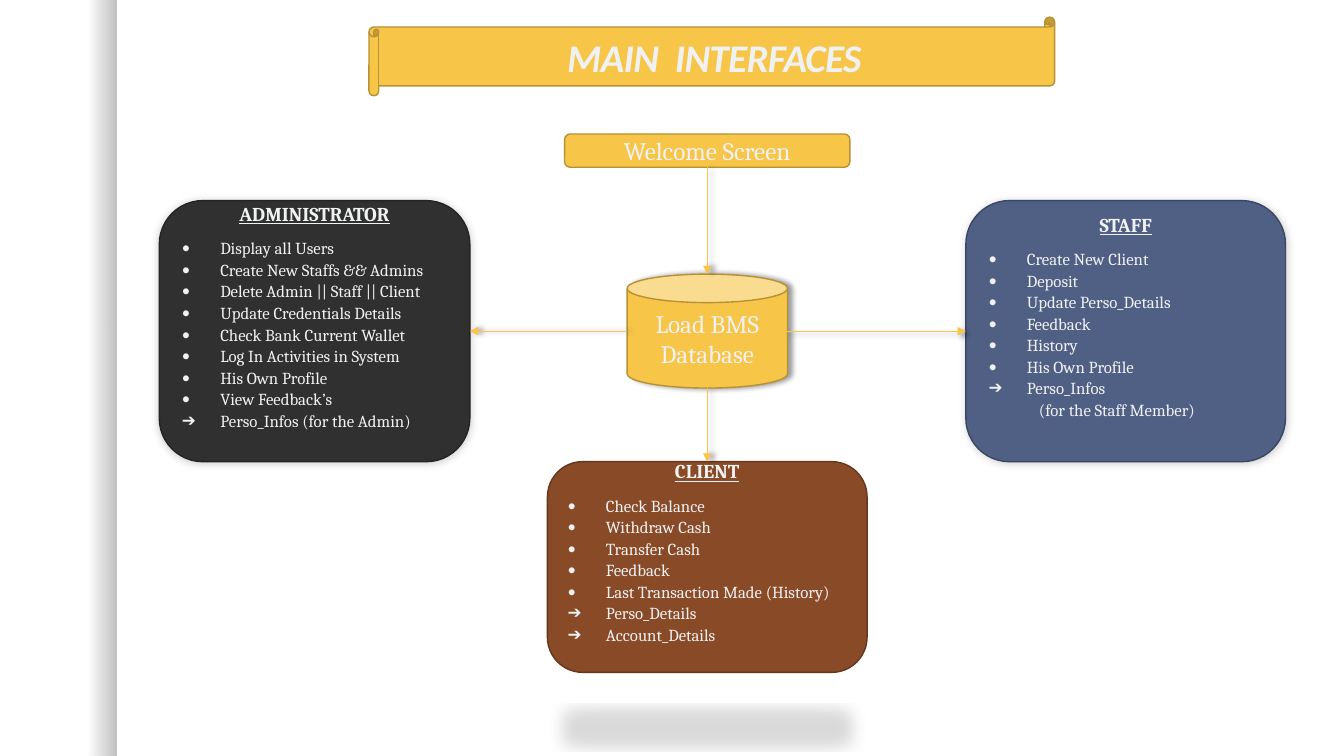
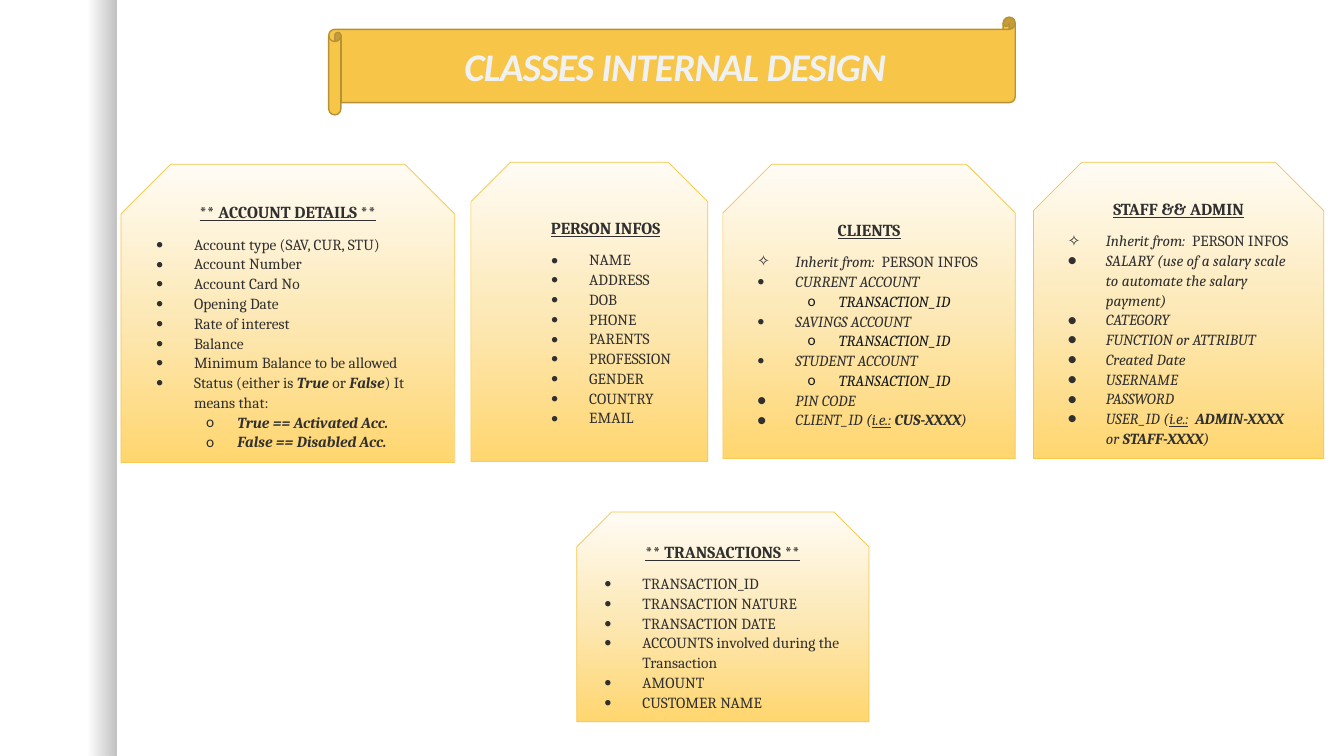
from lxml.etree import SubElement
from pptx import Presentation
from pptx.dml.color import RGBColor
from pptx.enum.shapes import MSO_CONNECTOR, MSO_SHAPE
from pptx.enum.text import MSO_ANCHOR, PP_ALIGN
from pptx.oxml.ns import qn
from pptx.util import Inches, Pt

WHITE = RGBColor(0xFF, 0xFF, 0xFF)
BLACK = RGBColor(0x00, 0x00, 0x00)
LIGHT = RGBColor(0xF0, 0xF1, 0xF2)
DARK = RGBColor(0x30, 0x30, 0x30)
DARK_EDGE = RGBColor(0x24, 0x24, 0x24)
INK = RGBColor(0x14, 0x18, 0x1B)
GOLD = RGBColor(0xF7, 0xC5, 0x47)
GOLD_EDGE = RGBColor(0xB7, 0x92, 0x35)
BROWN = RGBColor(0x89, 0x4A, 0x27)
BROWN_EDGE = RGBColor(0x65, 0x37, 0x1D)
BLUE = RGBColor(0x50, 0x60, 0x84)
BLUE_EDGE = RGBColor(0x3B, 0x47, 0x62)
CREAM = RGBColor(0xFF, 0xFC, 0xF5)
SAND = RGBColor(0xFD, 0xE9, 0xB7)
AMBER = RGBColor(0xFF, 0xD6, 0x6F)

HEADING_FONT, BODY_FONT = "Calibri", "Cambria"

# Gradient stops: (position %, colour, opacity %)
BAND_STOPS = [(75, BLACK, 0), (100, BLACK, 25)]
CARD_STOPS = [(0, CREAM, 100), (50, SAND, 100), (100, AMBER, 100)]

# Shadows: opacity %, blur pt, distance pt, direction in degrees
SOFT_LEFT = dict(opacity=20, blur=6, distance=1, angle=135)
SOFT_RIGHT = dict(opacity=20, blur=6, distance=1, angle=45)
SIDE = dict(opacity=40, blur=4, distance=3, angle=0)
SIDE_DIAGONAL = dict(SIDE, angle=45)
FLOOR = dict(opacity=15, blur=12, distance=25, angle=90, scale=(90, -19))

# An item is (bullet, run, run, ...); a run is a text or (text, style),
# where the style letters are b(old), i(talic) and u(nderlined).
INHERIT = ("✧", ("Inherit from: ", "i"), " PERSON INFOS")


def items(bullet, *texts, style=""):
    return [(bullet, (text, style)) for text in texts]


ROLES = [
    dict(heading="CLIENT", at=(5.43, 4.58, 3.17, 2.09), fill=BROWN,
         edge=BROWN_EDGE, shadow=FLOOR,
         items=items("•", "Check Balance", "Withdraw Cash", "Transfer Cash",
                     "Feedback", "Last Transaction Made (History)")
         + items("➔", "Perso_Details", "Account_Details")),
    dict(heading="ADMINISTRATOR", at=(1.58, 1.99, 3.08, 2.59), fill=DARK,
         edge=DARK_EDGE, shadow=SOFT_LEFT,
         items=items("•", "Display all Users", "Create New Staffs && Admins",
                     "Delete Admin || Staff || Client",
                     "Update Credentials Details",
                     "Check Bank Current Wallet", "Log In Activities in System",
                     "His Own Profile", "View Feedback’s")
         + items("➔", "Perso_Infos (for the Admin)")),
    dict(heading="STAFF", at=(9.58, 1.99, 3.17, 2.59), fill=BLUE,
         edge=BLUE_EDGE, shadow=SOFT_RIGHT,
         items=items("•", "Create New Client", "Deposit",
                     "Update Perso_Details", "Feedback", "History",
                     "His Own Profile")
         + items("➔", "Perso_Infos") + items("", "(for the Staff Member)")),
]
WELCOME_AT = (5.6, 1.33, 2.83, 0.33)
DATABASE_AT = (6.22, 2.72, 1.59, 1.13)

CLASSES = [
    dict(heading="PERSON INFOS", at=(4.67, 1.61, 2.35, 2.97), shift=0.5,
         items=items("•", "NAME", "ADDRESS", "DOB", "PHONE", "PARENTS",
                     "PROFESSION", "GENDER", "COUNTRY", "EMAIL")),
    dict(heading="STAFF && ADMIN", at=(10.25, 1.61, 2.88, 2.94),
         items=[INHERIT]
         + items("●", "SALARY (use of a salary scale to automate the salary "
                 "payment)", "CATEGORY", "FUNCTION or ATTRIBUT",
                 "Created Date", "USERNAME", "PASSWORD", style="i")
         + [("●", ("USER_ID (", "i"), ("i.e.:", "iu"), ("  ADMIN-XXXX", "ib"),
             (" or ", "i"), ("STAFF-XXXX", "ib"), (")", "i"))]),
    dict(heading="** ACCOUNT DETAILS **", at=(1.2, 1.63, 3.31, 2.96),
         items=items("•", "Account type (SAV, CUR, STU)", "Account Number",
                     "Account Card No", "Opening Date", "Rate of interest",
                     "Balance", "Minimum Balance to be allowed")
         + [("•", "Status (either is ", ("True", "bi"), " or ",
             ("False", "bi"), ") It means that:")]
         + items("o", "True == Activated Acc.", "False == Disabled Acc.",
                 style="bi")),
    dict(heading="** TRANSACTIONS **", at=(5.72, 5.08, 2.9, 2.08),
         items=items("•", "TRANSACTION_ID", "TRANSACTION NATURE",
                     "TRANSACTION DATE",
                     "ACCOUNTS involved during the Transaction", "AMOUNT",
                     "CUSTOMER NAME")),
    dict(heading="CLIENTS", at=(7.17, 1.63, 2.9, 2.92), sub_color=INK,
         items=[INHERIT]
         + [item for account in ("CURRENT", "SAVINGS", "STUDENT")
            for item in (("•", (f"{account} ACCOUNT", "i")),
                         ("o", ("TRANSACTION_ID", "i")))]
         + items("●", "PIN CODE", style="i")
         + [("●", ("CLIENT_ID (", "i"), ("i.e.:", "iu"), (" ", "i"),
             ("CUS-XXXX", "ib"), (")", "i"))]),
]


def sub(parent, tag, **attributes):
    return SubElement(parent, qn(tag),
                      {key: str(value) for key, value in attributes.items()})


def color_in(parent, color, opacity):
    alpha_of = sub(parent, "a:srgbClr", val=color)
    sub(alpha_of, "a:alpha", val=opacity * 1000)


def set_gradient(shape, stops, angle):
    """Fill with any number of stops; the angle runs clockwise."""
    shape.fill.gradient()
    gradient = shape.element.spPr.find(qn("a:gradFill"))
    for child in list(gradient):
        gradient.remove(child)
    stop_list = sub(gradient, "a:gsLst")
    for position, color, opacity in stops:
        color_in(sub(stop_list, "a:gs", pos=position * 1000), color, opacity)
    sub(gradient, "a:lin", ang=angle * 60000, scaled=0)


def set_shadow(shape, opacity=0, blur=0, distance=0, angle=0, scale=None):
    """Replace the theme shadow; with no opacity there is none."""
    effects = sub(shape.element.spPr, "a:effectLst")
    if not opacity:
        return
    stretch = {}
    if scale:
        stretch = dict(sx=scale[0] * 1000, sy=scale[1] * 1000)
    outer = sub(effects, "a:outerShdw", blurRad=Pt(blur), dist=Pt(distance),
                dir=angle * 60000, **stretch, rotWithShape=0)
    color_in(outer, BLACK, opacity)


def add_box(slide, kind, at, fill, edge=None, edge_width=1, shadow=None):
    """Draw a preset shape; fill is a colour or a list of gradient stops."""
    box = slide.shapes.add_shape(kind, *map(Inches, at))
    if isinstance(fill, list):
        set_gradient(box, fill, 90 if edge else 0)
    else:
        box.fill.solid()
        box.fill.fore_color.rgb = fill
    if edge:
        box.line.color.rgb = edge
        box.line.width = Pt(edge_width)
    else:
        box.line.fill.background()
    set_shadow(box, **(shadow or {}))
    box.text_frame.vertical_anchor = MSO_ANCHOR.MIDDLE
    return box


def set_font(paragraph, size, color, name=BODY_FONT, **styles):
    font = paragraph.font
    font.size, font.name, font.color.rgb = Pt(size), name, color
    for style, value in styles.items():
        setattr(font, style, value)


def write_label(box, text, size, **font):
    label = box.text_frame.paragraphs[0]
    label.text = text
    label.alignment = PP_ALIGN.CENTER
    set_font(label, size, LIGHT, **font)


def set_indent(paragraph, margin, first_line, bullet=""):
    properties = paragraph._p.get_or_add_pPr()
    properties.set("marL", str(Inches(margin)))
    properties.set("indent", str(Inches(first_line)))
    if bullet:
        sub(properties, "a:buFont", typeface=HEADING_FONT)
        sub(properties, "a:buChar", char=bullet)


def write_list(box, card, heading_size, item_size, color):
    """Write an underlined heading and its bulleted items."""
    shift = card.get("shift", 0)
    heading = box.text_frame.paragraphs[0]
    heading.text = card["heading"]
    heading.alignment = PP_ALIGN.LEFT if shift else PP_ALIGN.CENTER
    if shift:
        set_indent(heading, 0, shift)
    set_font(heading, heading_size, color, bold=True, underline=True)

    for bullet, *runs in card["items"]:
        entry = box.text_frame.add_paragraph()
        entry.alignment = PP_ALIGN.LEFT
        entry_color = color
        if bullet == "o":
            entry.level = 1
            set_indent(entry, 0.81, -0.31, bullet)
            entry_color = card.get("sub_color", color)
        elif bullet:
            set_indent(entry, shift + 0.38, -0.38, bullet)
        else:
            set_indent(entry, 0.5, 0)
        set_font(entry, item_size, entry_color)
        for part in runs:
            text, style = (part, "") if isinstance(part, str) else part
            run = entry.add_run()
            run.text = text
            for letter, attribute in zip("biu", ("bold", "italic", "underline")):
                if letter in style:
                    setattr(run.font, attribute, True)

    for paragraph in box.text_frame.paragraphs:
        paragraph.line_spacing = 1.07
        paragraph.space_after = Pt(0)
    heading.space_after = entry.space_after = Pt(8)


def add_arrow(slide, start, end, shadow):
    arrow = slide.shapes.add_connector(MSO_CONNECTOR.STRAIGHT,
                                       *map(Inches, start + end))
    arrow.line.color.rgb = GOLD
    arrow.line.width = Pt(0.5)
    sub(arrow.element.spPr.find(qn("a:ln")), "a:tailEnd", type="triangle")
    set_shadow(arrow, **shadow)
    return arrow


def new_slide(deck, title, title_at):
    """Start a slide with the shaded left band and the title scroll."""
    slide = deck.slides.add_slide(deck.slide_layouts[6])
    slide.background.fill.solid()
    slide.background.fill.fore_color.rgb = WHITE
    add_box(slide, MSO_SHAPE.RECTANGLE, (0, 0, 1.16, 7.5), BAND_STOPS)
    scroll = add_box(slide, MSO_SHAPE.HORIZONTAL_SCROLL, title_at, GOLD, GOLD_EDGE)
    write_label(scroll, title, 28, name=HEADING_FONT, bold=True, italic=True)
    scroll.text_frame.paragraphs[0].runs[0]._r.get_or_add_rPr().set("spc", "-50")
    return slide


def build_interfaces(deck):
    slide = new_slide(deck, "MAIN  INTERFACES", (3.66, 0.17, 6.8, 0.78))
    roles = {}
    for role in ROLES:
        box = add_box(slide, MSO_SHAPE.ROUNDED_RECTANGLE, role["at"],
                      role["fill"], role["edge"], shadow=role["shadow"])
        box.text_frame.margin_bottom = Inches(0.36)
        write_list(box, role, 14, 12, LIGHT)
        roles[role["heading"]] = box

    welcome = add_box(slide, MSO_SHAPE.ROUNDED_RECTANGLE, WELCOME_AT, GOLD, GOLD_EDGE)
    write_label(welcome, "Welcome Screen", 18)
    database = add_box(slide, MSO_SHAPE.CAN, DATABASE_AT, GOLD, GOLD_EDGE, shadow=SIDE)
    write_label(database, "Load BMS Database", 18)

    left, top, width, height = DATABASE_AT
    middle_x, middle_y = left + width / 2, top + height / 2
    top_point = (middle_x, top)
    entry_arrow = add_arrow(slide, top_point, top_point, SIDE)
    entry_arrow.begin_connect(welcome, 2)
    # Connection sites of a rounded rectangle: 0 top, 1 left, 2 bottom, 3 right
    for heading, point, site, shadow in [
            ("ADMINISTRATOR", (left, middle_y), 3, SIDE),
            ("STAFF", (left + width, middle_y), 1, SIDE_DIAGONAL),
            ("CLIENT", (middle_x, top + height), 0, SIDE)]:
        add_arrow(slide, point, point, shadow).end_connect(roles[heading], site)


def build_classes(deck):
    slide = new_slide(deck, "CLASSES INTERNAL DESIGN", (3.26, 0.17, 6.81, 0.97))
    for card in CLASSES:
        box = add_box(slide, MSO_SHAPE.SNIP_2_SAME_RECTANGLE, card["at"],
                      CARD_STOPS, GOLD, 0.5)
        write_list(box, card, 12, 11, DARK)


def main():
    deck = Presentation()
    deck.slide_width, deck.slide_height = Inches(13.33), Inches(7.5)
    build_interfaces(deck)
    build_classes(deck)
    deck.save("out.pptx")


if __name__ == "__main__":
    main()
